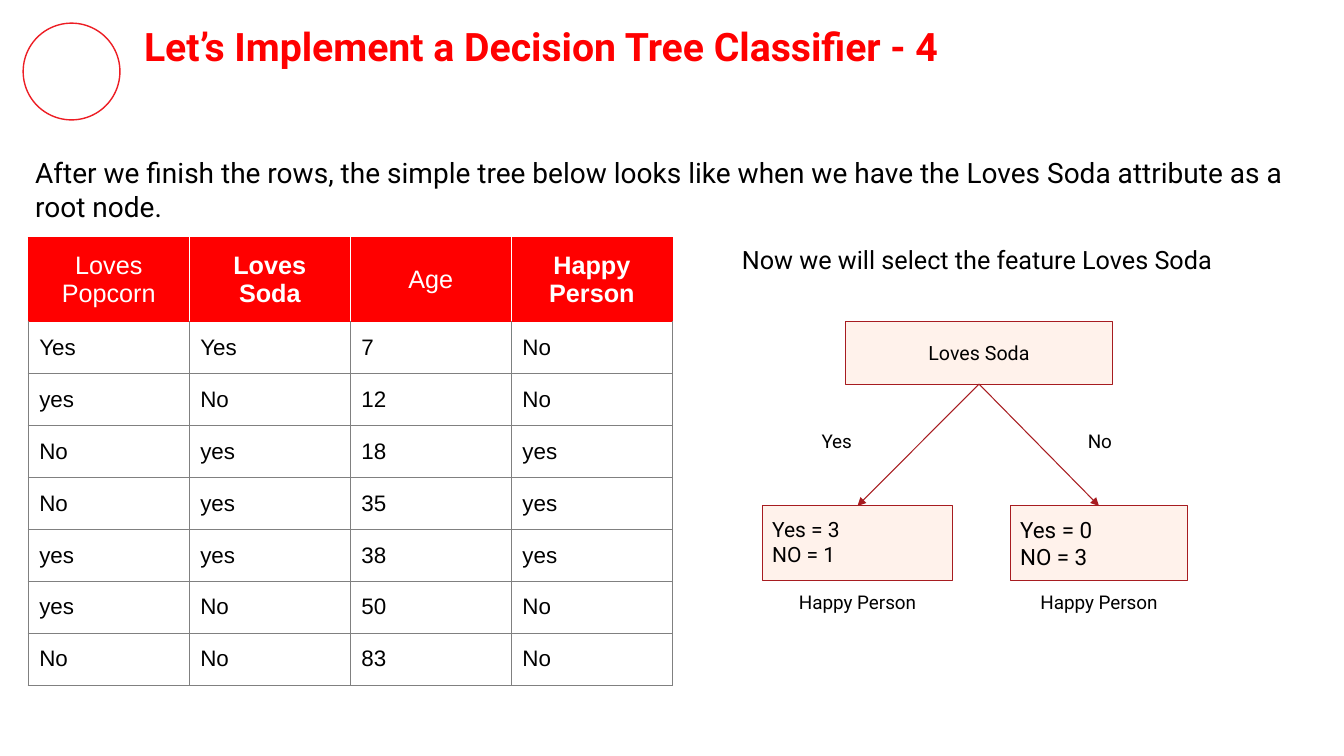
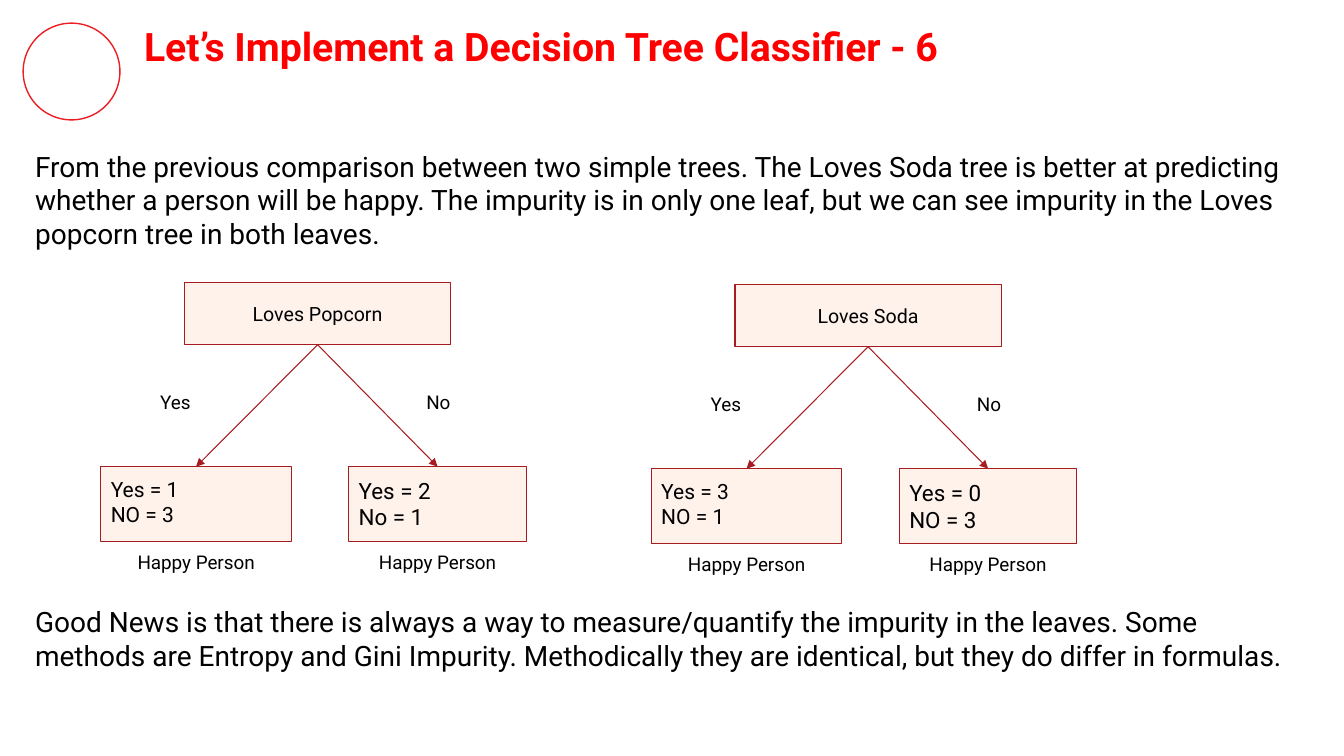
"""Build two slides that compare simple decision trees for predicting a happy person."""
from dataclasses import dataclass
from typing import NamedTuple

from pptx import Presentation
from pptx.dml.color import RGBColor
from pptx.enum.shapes import MSO_CONNECTOR, MSO_SHAPE
from pptx.enum.text import MSO_ANCHOR, PP_ALIGN
from pptx.oxml.ns import qn
from pptx.shapes.autoshape import Shape
from pptx.slide import Slide
from pptx.table import _Cell
from pptx.text.text import TextFrame
from pptx.util import Inches, Pt
from lxml import etree

STRAIGHT = MSO_CONNECTOR.STRAIGHT
OVAL, RECT = MSO_SHAPE.OVAL, MSO_SHAPE.RECTANGLE
TOP, MIDDLE = MSO_ANCHOR.TOP, MSO_ANCHOR.MIDDLE
LEFT, CENTER = PP_ALIGN.LEFT, PP_ALIGN.CENTER
SITE_TOP, SITE_BOTTOM = 0, 2


@dataclass(frozen=True)
class Theme:
    """Colours, fonts and type sizes."""
    red: RGBColor = RGBColor(0xFF, 0x00, 0x00)
    ring: RGBColor = RGBColor(0xED, 0x1D, 0x24)
    line: RGBColor = RGBColor(0xA7, 0x1C, 0x20)
    node: RGBColor = RGBColor(0xFF, 0xF2, 0xEB)
    grid: RGBColor = RGBColor(0x80, 0x80, 0x80)
    black: RGBColor = RGBColor(0x00, 0x00, 0x00)
    white: RGBColor = RGBColor(0xFF, 0xFF, 0xFF)
    font: str = "Roboto"
    table_font: str = "Arial"
    title: float = 28
    body: float = 20
    note: float = 18
    root: float = 14
    left_leaf: float = 15
    right_leaf: float = 16
    label: float = 13.5
    table_head: float = 18
    table_body: float = 16


THEME = Theme()


class Box(NamedTuple):
    """Left, top, width and height in inches."""
    x: float
    y: float
    w: float
    h: float

    def emu(self) -> tuple[int, ...]:
        """Return the box as lengths."""
        return tuple(Inches(v) for v in self)


@dataclass(frozen=True)
class Style:
    """Format of the text in one box or cell."""
    size: float
    color: RGBColor = THEME.black
    font: str = THEME.font
    bold: bool = False
    align: PP_ALIGN = LEFT
    anchor: MSO_ANCHOR = TOP
    spacing: float = 1.0
    after: float = 0
    inset: float = 0.1


TITLE = Style(THEME.title, THEME.red, bold=True)
BODY = Style(THEME.body, anchor=MIDDLE, after=12)
NOTE = Style(THEME.note, spacing=0.9)
ROOT = Style(THEME.root, align=CENTER, anchor=MIDDLE)
LABEL = Style(THEME.label, spacing=0.8)
CAPTION = Style(THEME.label, align=CENTER, spacing=0.8)
CELL = Style(THEME.table_body, font=THEME.table_font, anchor=MIDDLE, inset=0.11)


class Leaf(NamedTuple):
    """Place of a leaf, its branch label and its caption, relative to the tree."""
    branch: str
    x: float
    w: float
    label_x: float
    caption_margin: float
    size: float


LEAVES = (
    Leaf("Yes", 0, 1.89, 0.49, 0.05, THEME.left_leaf),
    Leaf("No", 2.46, 1.76, 3.13, 0, THEME.right_leaf),
)


class Tree(NamedTuple):
    """A root attribute and the counts in its two leaves."""
    x: float
    y: float
    root: str
    counts: tuple[str, str]


SODA_COUNTS = ("Yes = 3\nNO = 1", "Yes = 0\nNO = 3")
HEADERS = (("Loves Popcorn", False), ("Loves\nSoda", True), ("Age", False), ("Happy Person", True))
ROWS = (
    ("Yes", "Yes", "7", "No"),
    ("yes", "No", "12", "No"),
    ("No", "yes", "18", "yes"),
    ("No", "yes", "35", "yes"),
    ("yes", "yes", "38", "yes"),
    ("yes", "No", "50", "No"),
    ("No", "No", "83", "No"),
)
TABLE = Box(0.28, 2.36, 6.39, 4.44)
HEADER_HEIGHT = 0.83


def write(tf: TextFrame, text: str, style: Style) -> None:
    """Fill a text frame, one paragraph per line."""
    inset = Inches(style.inset)
    frame = {"word_wrap": True, "vertical_anchor": style.anchor, "margin_left": inset,
             "margin_right": inset, "margin_top": inset, "margin_bottom": inset}
    for name, value in frame.items():
        setattr(tf, name, value)
    para = {"alignment": style.align, "line_spacing": style.spacing, "space_after": Pt(style.after)}
    font = {"name": style.font, "size": Pt(style.size), "bold": style.bold}
    for i, line in enumerate(text.split("\n")):
        p = tf.add_paragraph() if i else tf.paragraphs[0]
        for name, value in para.items():
            setattr(p, name, value)
        r = p.add_run()
        r.text = line
        for name, value in font.items():
            setattr(r.font, name, value)
        r.font.color.rgb = style.color


def add_text(s: Slide, box: Box, text: str, style: Style) -> None:
    """Add a text box."""
    write(s.shapes.add_textbox(*box.emu()).text_frame, text, style)


def add_node(s: Slide, box: Box, text: str, style: Style) -> Shape:
    """Add a tree node."""
    sp = s.shapes.add_shape(RECT, *box.emu())
    sp.shadow.inherit = False
    sp.fill.solid()
    sp.fill.fore_color.rgb = THEME.node
    sp.line.color.rgb = THEME.line
    sp.line.width = Pt(0.75)
    write(sp.text_frame, text, style)
    return sp


def add_arrow(s: Slide, root: Shape, leaf: Shape) -> None:
    """Join the root to a leaf with an arrow."""
    sp = s.shapes.add_connector(STRAIGHT, 0, 0, 0, 0)
    sp.begin_connect(root, SITE_BOTTOM)
    sp.end_connect(leaf, SITE_TOP)
    sp.line.color.rgb = THEME.line
    sp.line.width = Pt(0.75)
    etree.SubElement(sp.line._get_or_add_ln(), qn("a:tailEnd"), type="triangle")
    etree.SubElement(sp._element.spPr, qn("a:effectLst"))


def add_tree(s: Slide, tree: Tree) -> None:
    """Draw a root with two labelled branches and leaves."""
    x, y = tree.x, tree.y
    root = add_node(s, Box(x + 0.83, y, 2.64, 0.62), tree.root, ROOT)
    for leaf, counts in zip(LEAVES, tree.counts):
        left, margin = x + leaf.x, leaf.caption_margin
        node = add_node(s, Box(left, y + 1.83, leaf.w, 0.74), counts, Style(leaf.size))
        add_arrow(s, root, node)
        add_text(s, Box(x + leaf.label_x, y + 1.03, 0.69, 0.38), leaf.branch, LABEL)
        add_text(s, Box(left - margin, y + 2.62, leaf.w + 2 * margin, 0.38), "Happy Person", CAPTION)


def set_borders(cell: _Cell, colors: dict[str, RGBColor]) -> None:
    """Draw the four borders of a cell."""
    tc_pr = cell._tc.get_or_add_tcPr()
    for side, color in colors.items():
        ln = etree.SubElement(tc_pr, qn(f"a:ln{side}"), w=str(Pt(1)))
        fill = etree.SubElement(ln, qn("a:solidFill"))
        etree.SubElement(fill, qn("a:srgbClr"), val=str(color))


def add_data_table(s: Slide) -> None:
    """Add the table of people."""
    table = s.shapes.add_table(len(ROWS) + 1, len(HEADERS), *TABLE.emu()).table
    table.first_row = table.horz_banding = False
    for col in table.columns:
        col.width = Inches(TABLE.w / len(HEADERS))
    for i, row in enumerate(table.rows):
        row.height = Inches((TABLE.h - HEADER_HEIGHT) / len(ROWS) if i else HEADER_HEIGHT)

    last = len(HEADERS) - 1
    for c, (text, bold) in enumerate(HEADERS):
        cell = table.cell(0, c)
        write(cell.text_frame, text, Style(THEME.table_head, THEME.white, THEME.table_font,
                                           bold, CENTER, inset=CELL.inset))
        finish_cell(cell, {"L": THEME.white if c else THEME.red,
                           "R": THEME.white if c < last else THEME.red,
                           "T": THEME.red, "B": THEME.red}, THEME.red)
    for i, values in enumerate(ROWS, 1):
        for c, text in enumerate(values):
            cell = table.cell(i, c)
            write(cell.text_frame, text, CELL)
            top = THEME.grid if i > 1 else THEME.red
            finish_cell(cell, {"L": THEME.grid, "R": THEME.grid, "T": top, "B": THEME.grid},
                        THEME.white)


def finish_cell(cell: _Cell, borders: dict[str, RGBColor], fill: RGBColor) -> None:
    """Set the margins, anchor, borders and fill of a cell."""
    inset = Inches(CELL.inset)
    for name, value in {"margin_left": inset, "margin_right": inset, "margin_top": inset,
                        "margin_bottom": inset, "vertical_anchor": MIDDLE}.items():
        setattr(cell, name, value)
    set_borders(cell, borders)
    cell.fill.solid()
    cell.fill.fore_color.rgb = fill


def add_slide(prs: Presentation, number: int) -> Slide:
    """Add a blank slide with the ring and the numbered title."""
    s = prs.slides.add_slide(prs.slide_layouts[6])
    sp = s.shapes.add_shape(OVAL, *Box(0.23, 0.23, 0.96, 0.96).emu())
    sp.shadow.inherit = False
    sp.fill.background()
    sp.line.color.rgb = THEME.ring
    sp.line.width = Pt(1)
    add_text(s, Box(1.33, 0.12, 11.18, 0.67),
             f"Let’s Implement a Decision Tree Classifier - {number}", TITLE)
    return s


def main() -> None:
    """Build and save the presentation."""
    prs = Presentation()
    prs.slide_width, prs.slide_height = Inches(13.33), Inches(7.5)

    s = add_slide(prs, 4)
    add_text(s, Box(0.25, 1.36, 12.84, 1.04),
             "After we finish the rows, the simple tree below looks like when we have the "
             "Loves Soda attribute as a root node.", BODY)
    add_data_table(s)
    add_text(s, Box(7.26, 2.36, 5.4, 0.48), "Now we will select the feature Loves Soda", NOTE)
    add_tree(s, Tree(7.56, 3.19, "Loves Soda", SODA_COUNTS))

    s = add_slide(prs, 6)
    add_text(s, Box(0.25, 1.29, 12.84, 1.38),
             "From the previous comparison between two simple trees. The Loves Soda tree is "
             "better at predicting whether a person will be happy. The impurity is in only one "
             "leaf, but we can see impurity in the Loves popcorn tree in both leaves.", BODY)
    add_tree(s, Tree(1, 2.8, "Loves Popcorn", ("Yes = 1\nNO = 3", "Yes = 2\nNo = 1")))
    add_tree(s, Tree(6.46, 2.82, "Loves Soda", SODA_COUNTS))
    add_text(s, Box(0.25, 5.81, 12.84, 1.04),
             "Good News is that there is always a way to measure/quantify the impurity in the "
             "leaves. Some methods are Entropy and Gini Impurity. Methodically they are "
             "identical, but they do differ in formulas.", BODY)

    prs.save("out.pptx")


if __name__ == "__main__":
    main()
